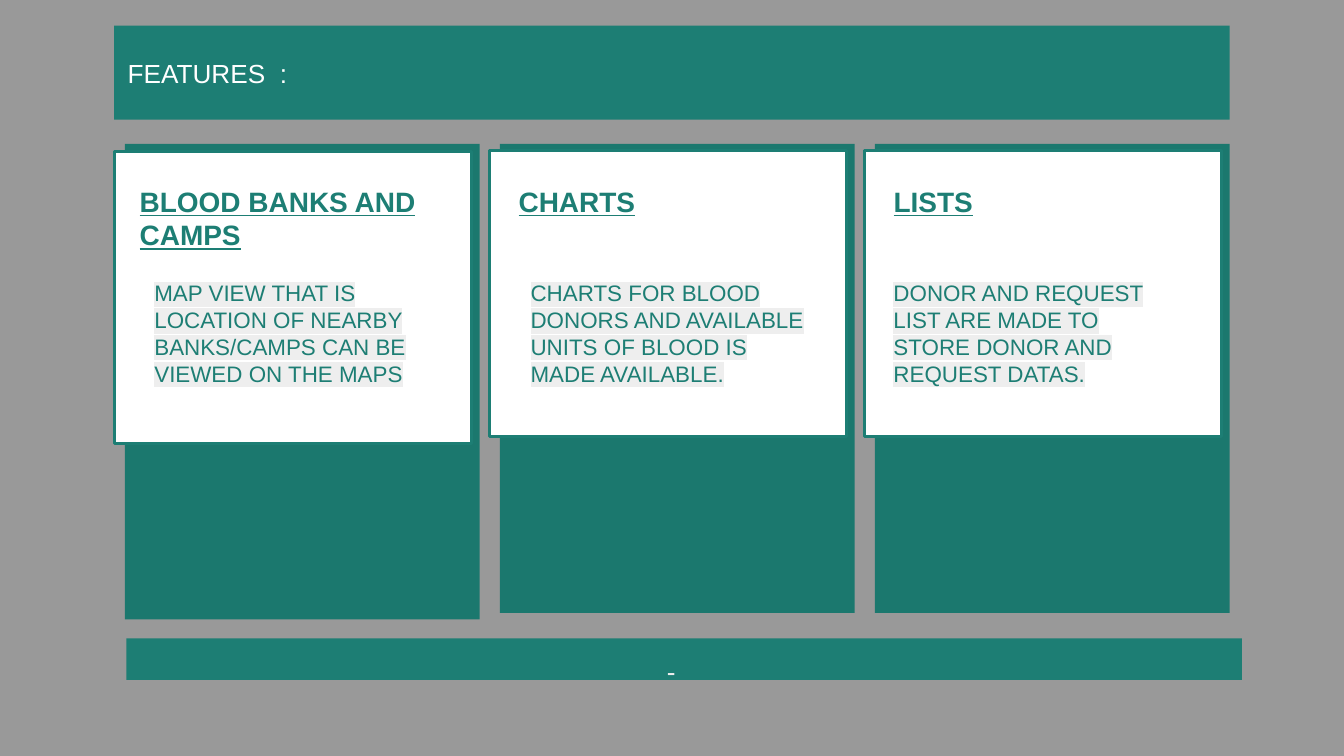
from pptx import Presentation
from pptx.dml.color import RGBColor
from pptx.enum.shapes import MSO_SHAPE as Shape
from pptx.enum.text import MSO_ANCHOR as Anchor, MSO_AUTO_SIZE as AutoSize, PP_ALIGN as Align
from pptx.oxml.ns import qn
from pptx.util import Inches, Pt
from lxml.etree import SubElement

TEAL = "1D7E74"
DARK_TEAL = "1B786E"
WHITE = "FFFFFF"
PALE = "EEEEEE"
COLUMN_STEP = 2.79

CARDS = [
    ("BLOOD BANKS AND CAMPS",
     "MAP VIEW THAT IS LOCATION OF NEARBY BANKS/CAMPS CAN BE VIEWED ON THE MAPS",
     3.54, 1.13, 2.17, 0.94, 1.05, 2.15),
    ("CHARTS",
     "CHARTS FOR BLOOD DONORS AND AVAILABLE UNITS OF BLOOD IS MADE AVAILABLE.",
     3.49, 1.12, 2.13, 3.76, 3.85, 2.3),
    ("LISTS",
     "DONOR AND REQUEST LIST ARE MADE TO STORE DONOR AND REQUEST DATAS.",
     3.49, 1.12, 2.13, 6.55, 6.55, 2.3),
]


def color(value):
    return RGBColor.from_string(value)


def set_fill(item, value):
    item.fill.solid()
    item.fill.fore_color.rgb = color(value)


def add_panel(slide, left, top, width, height, fill, line=None):
    shape = slide.shapes.add_shape(
        Shape.RECTANGLE, Inches(left), Inches(top), Inches(width), Inches(height))
    shape.shadow.inherit = False
    set_fill(shape, fill)
    if line:
        shape.line.color.rgb = color(line)
        shape.line.width = Pt(1.5)
    else:
        shape.line.fill.background()


def write_text(shape, text, size, text_color, bold=False, align=Align.LEFT, inset=0.1):
    frame = shape.text_frame
    frame.word_wrap = True
    frame.margin_left = frame.margin_right = Inches(inset)
    frame.margin_top = frame.margin_bottom = Inches(inset)
    frame.text = text
    paragraph = frame.paragraphs[0]
    paragraph.alignment = align
    font = paragraph.font
    font.name = "Arial"
    font.size = Pt(size)
    font.bold = font.underline = bold
    font.color.rgb = color(text_color)
    return paragraph.runs[0]


def add_text(slide, left, top, width, height, *text, **style):
    box = slide.shapes.add_textbox(
        Inches(left), Inches(top), Inches(width), Inches(height))
    return write_text(box, *text, **style)


def highlight(run, value):
    properties = run._r.get_or_add_rPr()
    mark = SubElement(properties, qn("a:highlight"))
    SubElement(mark, qn("a:srgbClr"), val=value)


def add_title(slide):
    title = slide.shapes.title
    title.left, title.top = Inches(0.85), Inches(0.19)
    title.width, title.height = Inches(8.3), Inches(0.7)
    set_fill(title, TEAL)
    write_text(title, "FEATURES  :", 14, WHITE)
    title.text_frame.vertical_anchor = Anchor.MIDDLE
    title.text_frame.auto_size = AutoSize.NONE


def add_card(slide, column, heading, body, back_height, front_top, front_height,
             heading_left, body_left, body_width):
    offset = column * COLUMN_STEP
    add_panel(slide, 0.93 + offset, 1.07, 2.64, back_height, DARK_TEAL)
    add_panel(slide, 0.85 + offset, front_top, 2.66, front_height, WHITE, TEAL)
    heading_height = 0.71 if column == 0 else 0.45
    add_text(slide, heading_left, 1.27, 2.49, heading_height, heading, 15, TEAL, bold=True)
    run = add_text(slide, body_left, 1.98, body_width, 1.01, body, 12, TEAL)
    highlight(run, PALE)


def add_footer(slide):
    add_panel(slide, 0.94, 4.75, 8.3, 0.31, TEAL)
    add_text(slide, 2.31, 4.83, 5.37, 0.14, "-", 14, PALE, align=Align.CENTER, inset=0.05)


def main():
    presentation = Presentation()
    presentation.slide_width = Inches(10)
    presentation.slide_height = Inches(10) * 9 // 16
    slide = presentation.slides.add_slide(presentation.slide_layouts[5])
    set_fill(slide.background, "999999")
    add_title(slide)
    for column, card in enumerate(CARDS):
        add_card(slide, column, *card)
    add_footer(slide)
    presentation.save("out.pptx")


if __name__ == "__main__":
    main()
